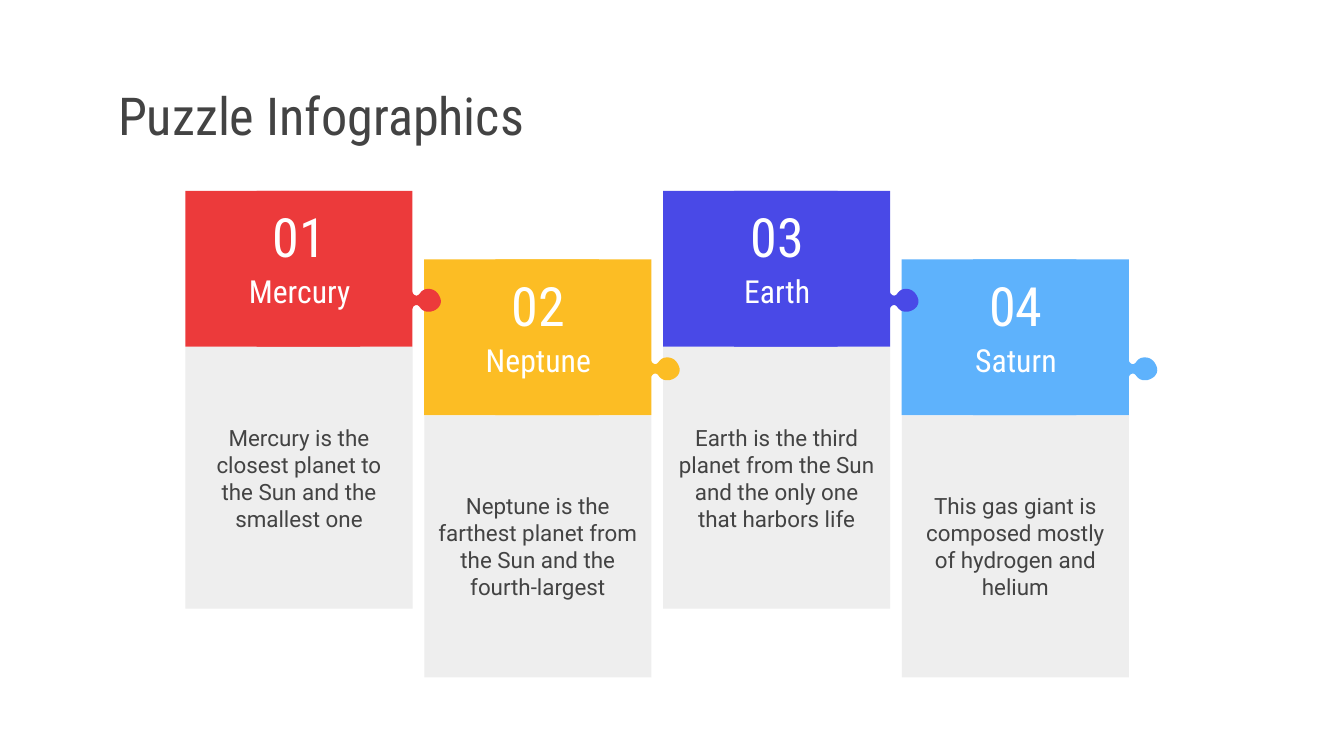
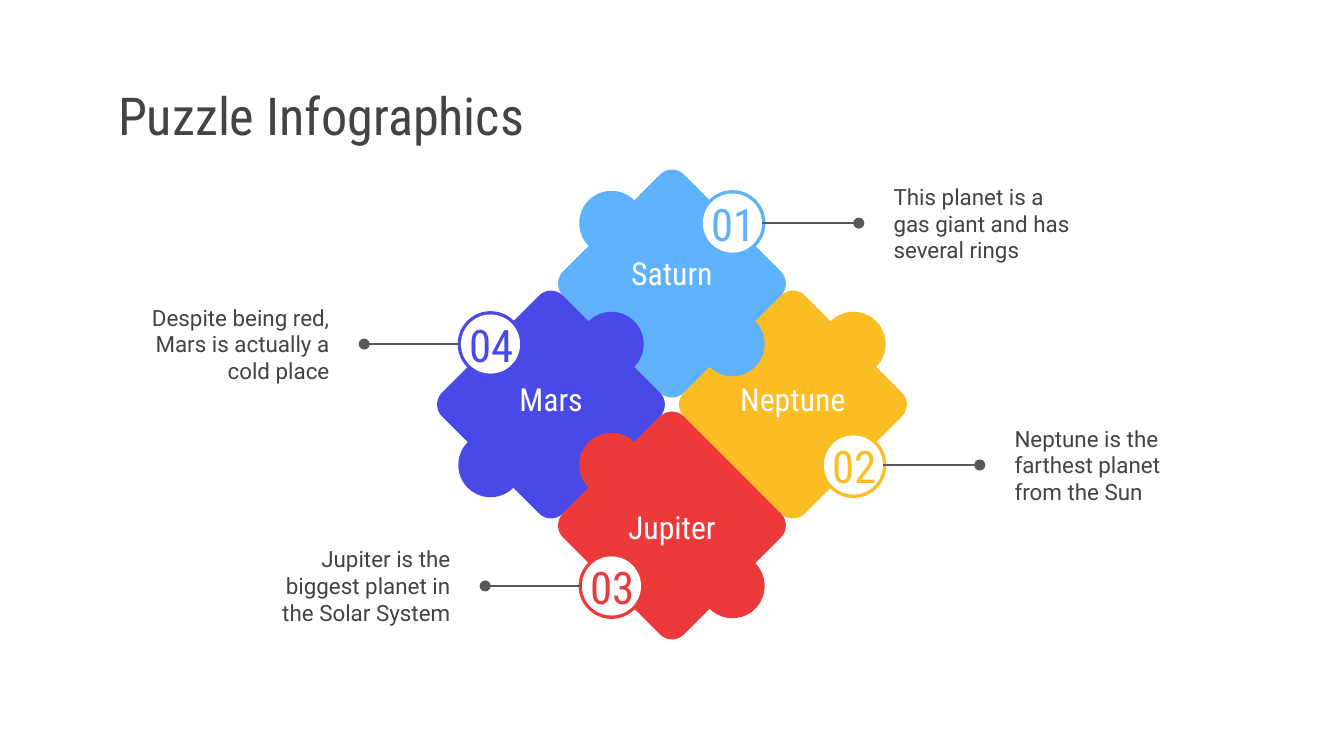
import math
from dataclasses import dataclass

from lxml import etree
from pptx import Presentation
from pptx.dml.color import RGBColor
from pptx.enum.shapes import MSO_CONNECTOR, MSO_SHAPE
from pptx.enum.text import MSO_ANCHOR, PP_ALIGN
from pptx.oxml.ns import qn
from pptx.shapes.autoshape import Shape
from pptx.shapes.shapetree import GroupShapes, SlideShapes
from pptx.slide import Slide
from pptx.util import Inches, Pt

Canvas = SlideShapes | GroupShapes
Point = tuple[float, float]

RECTANGLE, OVAL = MSO_SHAPE.RECTANGLE, MSO_SHAPE.OVAL
STRAIGHT = MSO_CONNECTOR.STRAIGHT
LEFT, CENTER, RIGHT = PP_ALIGN.LEFT, PP_ALIGN.CENTER, PP_ALIGN.RIGHT
MIDDLE = MSO_ANCHOR.MIDDLE

SLIDE_WIDTH = Inches(10)
SLIDE_HEIGHT = SLIDE_WIDTH * 9 // 16
COLORS = {
    "red": "EC3A3B",
    "yellow": "FCBD24",
    "indigo": "4949E7",
    "sky": "5EB2FC",
    "panel": "EEEEEE",
    "text": "434343",
    "leader": "595959",
    "white": "FFFFFF",
}
BODY_FONT = "Roboto"
HEADING_FONT = "Roboto Condensed"
INSET = Inches(0.1)
CURVE_STEPS = 8

# Card row
CARD_LEFT, CARD_WIDTH = 1.38, 1.69
CARD_PITCH = 5.33 / 3
CARD_TOPS = (1.42, 1.93)
HEADER_HEIGHT, PANEL_HEIGHT = 1.16, 1.95
HEADER_BASE_WIDTH, TAB_START = 1.3, 0.53
# Knob curves, measured from the top right corner of a card header
KNOB_START = (0, 0.88)
KNOB_CURVES = (
    ((0, 0.86), (0.02, 0.85), (0.03, 0.85)),
    ((0.04, 0.85), (0.05, 0.86), (0.05, 0.86)),
    ((0.07, 0.89), (0.09, 0.9), (0.12, 0.9)),
    ((0.17, 0.9), (0.22, 0.86), (0.21, 0.81)),
    ((0.2, 0.77), (0.17, 0.73), (0.12, 0.73)),
    ((0.09, 0.73), (0.07, 0.74), (0.05, 0.77)),
    ((0.05, 0.77), (0.04, 0.78), (0.03, 0.78)),
    ((0.02, 0.78), (0, 0.77), (0, 0.75)),
)

# Diamond of pieces
DIAMOND_CENTER = (5.0, 3.01)
PIECE_STEP = 0.9
SIDE_OFFSET = 0.45
BUMP_RADIUS = 0.24
CORNER = ((-0.09, -0.81), (-0.04, -0.86), (0.04, -0.86), (0.09, -0.81))
BADGE_SIZE, BADGE_HOLE = 0.49, 0.44
LEADER_START, LEADER_END = 0.22, 0.94
NAME_WIDTH = 1.53
CAPTION_GAP, CAPTION_WIDTH, CAPTION_HEIGHT = 1.1, 1.58, 0.77


@dataclass(frozen=True)
class Card:
    number: str
    name: str
    color: str
    text: str


@dataclass(frozen=True)
class Piece:
    """position is in steps from the diamond centre, badge the signs of the side it sits on."""

    number: str
    name: str
    color: str
    text: str
    position: Point
    badge: Point
    bumps: tuple[int, int]
    name_rise: float


CARDS = (
    Card("01", "Mercury", "red", "Mercury is the closest planet to the Sun and the smallest one"),
    Card("02", "Neptune", "yellow",
         "Neptune is the farthest planet from the Sun and the fourth-largest"),
    Card("03", "Earth", "indigo",
         "Earth is the third planet from the Sun and the only one that harbors life"),
    Card("04", "Saturn", "sky", "This gas giant is composed mostly of hydrogen and helium"),
)

# Sides that carry bumps, clockwise from the upper right one
UPPER_RIGHT_LOWER_LEFT = (0, 2)
LOWER_RIGHT_UPPER_LEFT = (1, 3)
# From back to front
PIECES = (
    Piece("02", "Neptune", "yellow", "Neptune is the farthest planet from the Sun",
          (1, 0), (1, 1), UPPER_RIGHT_LOWER_LEFT, 0.21),
    Piece("01", "Saturn", "sky", "This planet is a gas giant and has several rings",
          (0, -1), (1, -1), LOWER_RIGHT_UPPER_LEFT, 0.25),
    Piece("04", "Mars", "indigo", "Despite being red, Mars is actually a cold place",
          (-1, 0), (-1, -1), UPPER_RIGHT_LOWER_LEFT, 0.21),
    Piece("03", "Jupiter", "red", "Jupiter is the biggest planet in the Solar System",
          (0, 1), (-1, 1), LOWER_RIGHT_UPPER_LEFT, 0.16),
)


def rgb(color: str) -> RGBColor:
    return RGBColor.from_string(COLORS[color])


def paint(shape: Shape, color: str) -> None:
    shape.shadow.inherit = False
    shape.fill.solid()
    shape.fill.fore_color.rgb = rgb(color)
    shape.line.fill.background()


def write(shape: Shape, text: str, size: float, font: str, color: str,
          align: PP_ALIGN = CENTER) -> None:
    frame = shape.text_frame
    frame.word_wrap = True
    frame.vertical_anchor = MIDDLE
    frame.margin_left = frame.margin_right = frame.margin_top = frame.margin_bottom = INSET
    frame.text = text
    paragraph = frame.paragraphs[0]
    paragraph.alignment = align
    run_font = paragraph.runs[0].font
    run_font.size, run_font.name = Pt(size), font
    run_font.color.rgb = rgb(color)


def add_text(canvas: Canvas, box: tuple[float, float, float, float], text: str, size: float,
             font: str, color: str, align: PP_ALIGN = CENTER) -> None:
    write(canvas.add_textbox(*map(Inches, box)), text, size, font, color, align)


def add_block(canvas: Canvas, preset: MSO_SHAPE, left: float, top: float, width: float,
              height: float, color: str) -> Shape:
    shape = canvas.add_shape(preset, *map(Inches, (left, top, width, height)))
    paint(shape, color)
    return shape


def add_circle(canvas: Canvas, center: Point, size: float, color: str) -> None:
    x, y = center
    add_block(canvas, OVAL, x - size / 2, y - size / 2, size, size, color)


def add_outline(canvas: Canvas, origin: Point, points: list[Point], color: str) -> None:
    """Fill the closed outline through points measured from origin."""
    corners = [(Inches(origin[0] + x), Inches(origin[1] + y)) for x, y in points]
    builder = canvas.build_freeform(*corners[0])
    builder.add_line_segments(corners[1:], close=True)
    paint(builder.convert_to_shape(), color)


def bezier(start: Point, first: Point, second: Point, end: Point) -> list[Point]:
    """Points along a cubic curve, without its start."""
    points = []
    for step in range(1, CURVE_STEPS + 1):
        t = step / CURVE_STEPS
        weights = ((1 - t) ** 3, 3 * t * (1 - t) ** 2, 3 * t**2 * (1 - t), t**3)
        points.append(tuple(sum(w * p[axis] for w, p in zip(weights, (start, first, second, end)))
                            for axis in (0, 1)))
    return points


def knob_outline() -> list[Point]:
    points = [KNOB_START]
    for curve in KNOB_CURVES:
        points += bezier(points[-1], *curve)
    return points


def piece_outline(bumps: tuple[int, int]) -> list[Point]:
    """Rounded diamond around (0, 0) with a half circle on each side named in bumps."""
    arc_steps = 3 * CURVE_STEPS
    angles = [math.radians(-135 + 180 * step / arc_steps) for step in range(arc_steps + 1)]
    bump = [(SIDE_OFFSET + BUMP_RADIUS * math.cos(angle),
             -SIDE_OFFSET + BUMP_RADIUS * math.sin(angle)) for angle in angles]
    corner = [CORNER[0], *bezier(*CORNER)]
    outline = []
    for side in range(4):
        quarter = corner + (bump if side in bumps else [])
        for _ in range(side):
            quarter = [(-y, x) for x, y in quarter]
        outline += quarter
    return outline


def add_titled_slide(presentation: Presentation) -> Slide:
    slide = presentation.slides.add_slide(presentation.slide_layouts[6])
    add_text(slide.shapes, (0.78, 0.59, 8.45, 0.53), "Puzzle Infographics", 28,
             HEADING_FONT, "text", LEFT)
    return slide


def add_card(slide: Slide, index: int, card: Card) -> None:
    group = slide.shapes.add_group_shape().shapes
    left = CARD_LEFT + index * CARD_PITCH
    top = CARD_TOPS[index % 2]
    panel = add_block(group, RECTANGLE, left, top + HEADER_HEIGHT, CARD_WIDTH, PANEL_HEIGHT,
                      "panel")
    write(panel, card.text, 12, BODY_FONT, "text")
    tab_left = TAB_START - CARD_WIDTH
    tab = [(tab_left, 0), (tab_left, HEADER_HEIGHT), (0, HEADER_HEIGHT), *knob_outline(), (0, 0)]
    add_outline(group, (left + CARD_WIDTH, top), tab, card.color)
    add_block(group, RECTANGLE, left, top, HEADER_BASE_WIDTH, HEADER_HEIGHT, card.color)
    for text, size, offset, height in ((card.name, 17, 0.48, 0.53), (card.number, 29, 0.14, 0.39)):
        add_text(group, (left + 0.27, top + offset, 1.16, height), text, size,
                 HEADING_FONT, "white")


def piece_center(piece: Piece) -> Point:
    x, y = (center + PIECE_STEP * step for center, step in zip(DIAMOND_CENTER, piece.position))
    return x, y


def badge_center(piece: Piece) -> Point:
    x, y = (center + SIDE_OFFSET * sign for center, sign in zip(piece_center(piece), piece.badge))
    return x, y


def add_piece(slide: Slide, piece: Piece) -> None:
    group = slide.shapes.add_group_shape().shapes
    center, badge = piece_center(piece), badge_center(piece)
    add_circle(group, badge, BADGE_SIZE, piece.color)
    add_outline(group, center, piece_outline(piece.bumps), piece.color)
    add_circle(group, badge, BADGE_HOLE, "white")
    add_text(group, (badge[0] - 0.3, badge[1] - 0.17, 0.61, 0.35), piece.number, 24,
             HEADING_FONT, piece.color)
    add_text(group, (center[0] - NAME_WIDTH / 2, center[1] - piece.name_rise, NAME_WIDTH, 0.34),
             piece.name, 17, HEADING_FONT, "white")


def add_caption(slide: Slide, piece: Piece) -> None:
    """Leader line from the badge, with the caption at its dotted end."""
    x, y = badge_center(piece)
    direction = piece.badge[0]
    leader = slide.shapes.add_connector(
        STRAIGHT, Inches(x + direction * LEADER_START), Inches(y),
        Inches(x + direction * LEADER_END), Inches(y))
    leader.line.color.rgb = rgb("leader")
    leader.line.width = Pt(0.75)
    properties = leader._element.spPr
    etree.SubElement(properties.find(qn("a:ln")), qn("a:tailEnd"), type="oval")
    etree.SubElement(properties, qn("a:effectLst"))

    near = x + direction * CAPTION_GAP
    left, align = (near, LEFT) if direction > 0 else (near - CAPTION_WIDTH, RIGHT)
    add_text(slide.shapes, (left, y - CAPTION_HEIGHT / 2, CAPTION_WIDTH, CAPTION_HEIGHT),
             piece.text, 12, BODY_FONT, "text", align)


def main() -> None:
    presentation = Presentation()
    presentation.slide_width, presentation.slide_height = SLIDE_WIDTH, SLIDE_HEIGHT

    card_slide = add_titled_slide(presentation)
    # Right to left, so that each knob lies over the next card
    for index, card in reversed(list(enumerate(CARDS))):
        add_card(card_slide, index, card)

    diamond_slide = add_titled_slide(presentation)
    for piece in PIECES:
        add_piece(diamond_slide, piece)
    for piece in PIECES:
        add_caption(diamond_slide, piece)

    presentation.save("out.pptx")


if __name__ == "__main__":
    main()
